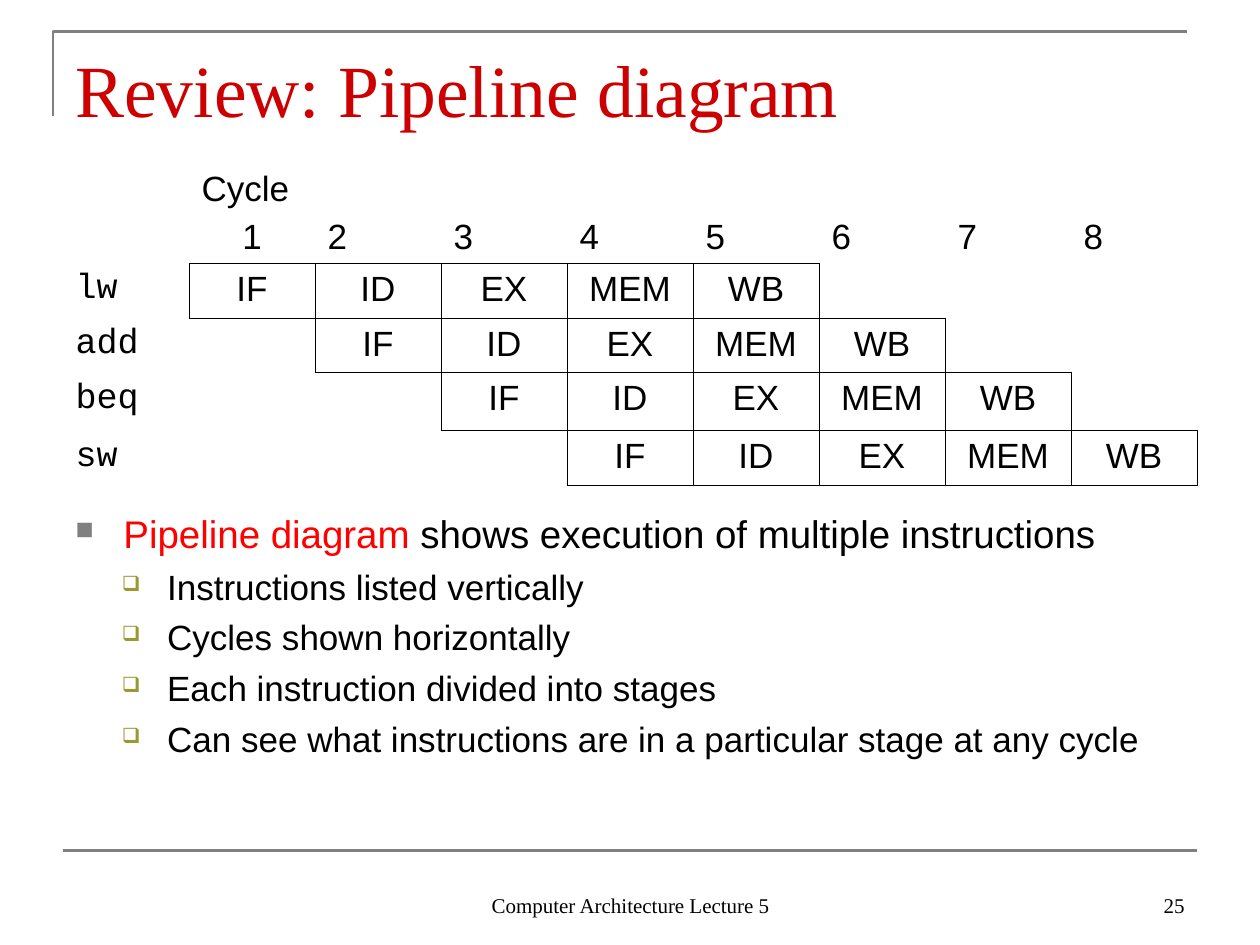
from lxml import etree
from pptx import Presentation
from pptx.dml.color import RGBColor
from pptx.enum.shapes import MSO_CONNECTOR
from pptx.enum.text import MSO_ANCHOR, PP_ALIGN
from pptx.oxml.ns import qn
from pptx.util import Cm, Pt

BLACK = RGBColor(0x00, 0x00, 0x00)
GRAY = RGBColor(0x80, 0x80, 0x80)
OLIVE = RGBColor(0x99, 0x99, 0x33)
RED = RGBColor(0xFF, 0x00, 0x00)
DARK_RED = RGBColor(0xCC, 0x00, 0x00)
LEFT, CENTER, RIGHT = PP_ALIGN.LEFT, PP_ALIGN.CENTER, PP_ALIGN.RIGHT
TOP, BOTTOM = MSO_ANCHOR.TOP, MSO_ANCHOR.BOTTOM
SERIF, SANS, MONO = "Times New Roman", "Arial", "Courier New"


def style(paragraph, face, size, color=BLACK, align=LEFT):
    paragraph.alignment = align
    paragraph.font.name = face
    paragraph.font.size = Pt(size)
    paragraph.font.color.rgb = color


def add_frame(left, top, width, height, anchor):
    box = slide.shapes.add_textbox(Cm(left), Cm(top), Cm(width), Cm(height))
    box.text_frame.word_wrap = True
    box.text_frame.vertical_anchor = anchor
    return box.text_frame


prs = Presentation()
prs.slide_width, prs.slide_height = Cm(25.4), Cm(19.05)
slide = prs.slides.add_slide(prs.slide_layouts[6])

outline = slide.shapes.build_freeform(Cm(1.07), Cm(2.34))
outline.add_line_segments([(Cm(1.07), Cm(0.64)), (Cm(23.93), Cm(0.64))], close=False)
corner = outline.convert_to_shape()
corner.shadow.inherit = False
corner.fill.background()
corner.line.color.rgb = GRAY
corner.line.width = Pt(1.5)

footer_rule = slide.shapes.add_connector(
    MSO_CONNECTOR.STRAIGHT, Cm(1.27), Cm(17.15), Cm(24.13), Cm(17.15))
footer_rule.line.color.rgb = GRAY
footer_rule.line.width = Pt(1.5)
etree.SubElement(footer_rule._element.spPr, qn("a:effectLst"))

for text, left, top, width, height, anchor, size, color, align in [
    ("Computer Architecture Lecture 5", 8.69, 17.35, 8.05, 1.27, BOTTOM, 12, BLACK, CENTER),
    ("25", 18.21, 17.35, 5.92, 1.27, BOTTOM, 12, BLACK, RIGHT),
    ("Review: Pipeline diagram", 1.27, 0.76, 22.86, 1.98, TOP, 42, DARK_RED, LEFT),
]:
    line = add_frame(left, top, width, height, anchor).paragraphs[0]
    line.text = text
    style(line, SERIF, size, color, align)

instructions = ["lw", "add", "beq", "sw"]
stages = ["IF", "ID", "EX", "MEM", "WB"]
cycles = 8
row_heights = [2.13, 1.09, 1.09, 1.17, 1.09]
pipeline = slide.shapes.add_table(
    len(row_heights), cycles + 1, Cm(1.27), Cm(3.18), Cm(22.86), Cm(sum(row_heights))).table
pipeline.first_row = pipeline.horz_banding = False
for row, height in zip(pipeline.rows, row_heights):
    row.height = Cm(height)
for column in pipeline.columns:
    column.width = Cm(2.54)

for cycle in range(1, cycles + 1):
    heading = pipeline.cell(0, cycle)
    heading.vertical_anchor = BOTTOM
    heading.text = "Cycle\n1" if cycle == 1 else str(cycle)
    for paragraph in heading.text_frame.paragraphs:
        style(paragraph, SANS, 20)
    if cycle == 1:
        paragraph.alignment = CENTER
        paragraph.space_before = Pt(5)

occupied = set()
for start, instruction in enumerate(instructions, 1):
    label = pipeline.cell(start, 0)
    label.text = instruction
    style(label.text_frame.paragraphs[0], MONO, 20)
    for cycle, stage in enumerate(stages, start):
        step = pipeline.cell(start, cycle)
        step.text = stage
        style(step.text_frame.paragraphs[0], SANS, 20, align=CENTER)
        occupied.add((start, cycle))

for r in range(len(row_heights)):
    for c in range(cycles + 1):
        cell = pipeline.cell(r, c)
        properties = cell._tc.get_or_add_tcPr()
        for edge, dr, dc in [("lnL", 0, -1), ("lnR", 0, 1), ("lnT", -1, 0), ("lnB", 1, 0)]:
            border = etree.SubElement(properties, qn(f"a:{edge}"), w=str(Pt(0.45)))
            if occupied & {(r, c), (r + dr, c + dc)}:
                ink = etree.SubElement(border, qn("a:solidFill"))
                etree.SubElement(ink, qn("a:srgbClr"), val=str(BLACK))
            else:
                etree.SubElement(border, qn("a:noFill"))
        cell.fill.background()

notes = [
    ("Pipeline diagram", " shows execution of multiple instructions"),
    ("Instructions listed vertically",),
    ("Cycles shown horizontally",),
    ("Each instruction divided into stages",),
    ("Can see what instructions are in a particular stage at any cycle",),
]
summary = add_frame(1.27, 10.16, 22.86, 6.86, TOP)
for index, pieces in enumerate(notes):
    if index == 0:
        point = summary.paragraphs[0]
        margin, hanging, mark, mark_color, scale, size = 0.97, 0.97, "■", GRAY, 65, 22
    else:
        point = summary.add_paragraph()
        point.level = 1
        point.space_before = Pt(5)
        margin, hanging, mark, mark_color, scale, size = 1.85, 0.91, "❑", OLIVE, 60, 20
    properties = point._p.get_or_add_pPr()
    properties.set("marL", str(Cm(margin)))
    properties.set("indent", str(-Cm(hanging)))
    bullet_color = etree.SubElement(properties, qn("a:buClr"))
    etree.SubElement(bullet_color, qn("a:srgbClr"), val=str(mark_color))
    etree.SubElement(properties, qn("a:buSzPct"), val=str(scale * 1000))
    etree.SubElement(properties, qn("a:buChar"), char=mark)
    for piece in pieces:
        point.add_run().text = piece
    style(point, SANS, size)
summary.paragraphs[0].runs[0].font.color.rgb = RED

prs.save("out.pptx")
